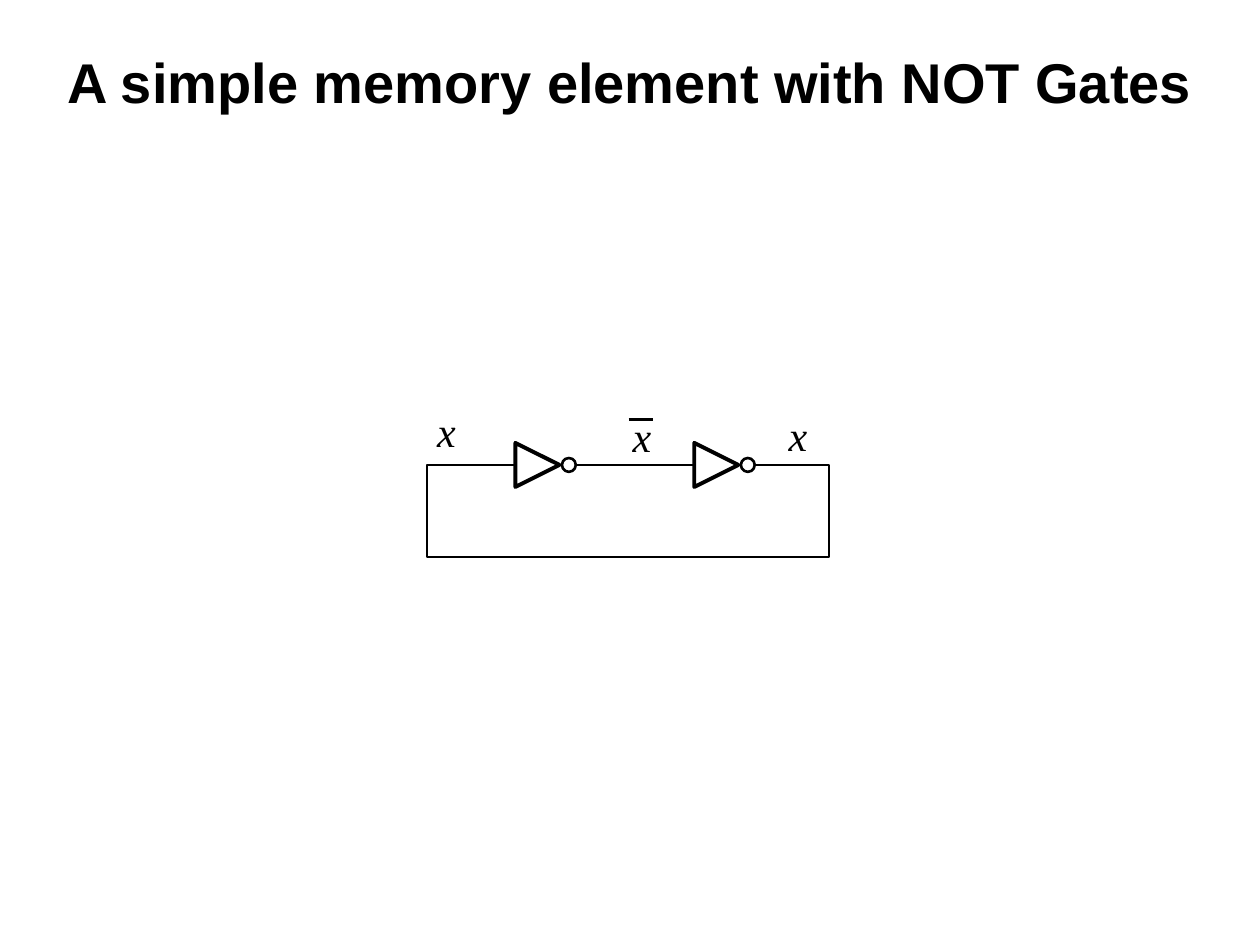
from dataclasses import dataclass
from typing import Any

from lxml import etree
from pptx import Presentation
from pptx.dml.color import RGBColor
from pptx.enum.shapes import MSO_CONNECTOR, MSO_SHAPE
from pptx.enum.text import MSO_AUTO_SIZE, PP_ALIGN
from pptx.oxml.ns import qn
from pptx.util import Inches, Pt

STRAIGHT = MSO_CONNECTOR.STRAIGHT
OVAL = MSO_SHAPE.OVAL
LEFT, CENTER = PP_ALIGN.LEFT, PP_ALIGN.CENTER
GROW, FIXED = MSO_AUTO_SIZE.SHAPE_TO_FIT_TEXT, MSO_AUTO_SIZE.NONE

WIDE, HIGH = Inches(10), Inches(7.5)
COLS, ROWS = 100, 75


@dataclass(frozen=True)
class Theme:
    ink: RGBColor = RGBColor(0, 0, 0)
    paper: RGBColor = RGBColor(255, 255, 255)
    sans: str = "Arial"
    serif: str = "Times New Roman"
    title: float = 32
    label: float = 24
    wire: float = 1.5
    bar: float = 1.62
    gate: float = 2.25


@dataclass(frozen=True)
class Gate:
    left: float
    mid: float
    size: float = 3.5
    gap: float = 0.2
    dot: float = 1.1

    @property
    def tip(self) -> float:
        return self.left + self.size

    @property
    def out(self) -> float:
        return self.tip + self.gap + self.dot


@dataclass(frozen=True)
class Label:
    left: float
    top: float
    barred: bool = False


THEME = Theme()
Point = tuple[float, float]


def col(n: float) -> int:
    return round(WIDE * n / COLS)


def row(n: float) -> int:
    return round(HIGH * n / ROWS)


def ink(shape: Any, width: float) -> None:
    shape.line.color.rgb = THEME.ink
    shape.line.width = Pt(width)


def line(shapes: Any, start: Point, end: Point, width: float) -> None:
    wire = shapes.add_connector(
        STRAIGHT, col(start[0]), row(start[1]), col(end[0]), row(end[1])
    )
    ink(wire, width)
    etree.SubElement(wire._element.spPr, qn("a:effectLst"))


def trace(shapes: Any, points: list[Point], width: float, close: bool) -> None:
    spots = [(col(x), row(y)) for x, y in points]
    pen = shapes.build_freeform(*spots[0])
    pen.add_line_segments(spots[1:], close=close)
    shape = pen.convert_to_shape()
    shape.shadow.inherit = False
    shape.fill.background()
    ink(shape, width)


def draw_gate(shapes: Any, gate: Gate) -> None:
    half = gate.size / 2
    points = [
        (gate.tip, gate.mid),
        (gate.left, gate.mid + half),
        (gate.left, gate.mid - half),
    ]
    trace(shapes, points, THEME.gate, close=True)
    dot = shapes.add_shape(
        OVAL,
        col(gate.tip + gate.gap),
        row(gate.mid - gate.dot / 2),
        col(gate.dot),
        row(gate.dot),
    )
    dot.shadow.inherit = False
    dot.fill.solid()
    dot.fill.fore_color.rgb = THEME.paper
    ink(dot, THEME.wire)


def write(
    shapes: Any,
    text: str,
    area: tuple[float, float, float, float],
    *,
    face: str,
    size: float,
    bold: bool = False,
    slant: bool = False,
    align: Any = LEFT,
    wrap: bool = False,
    pad: Point = (0, 0),
) -> None:
    left, top, width, height = area
    box = shapes.add_textbox(col(left), row(top), col(width), row(height))
    frame = box.text_frame
    frame.word_wrap = wrap
    frame.auto_size = FIXED if wrap else GROW
    frame.margin_left = frame.margin_right = col(pad[0])
    frame.margin_top = frame.margin_bottom = row(pad[1])
    para = frame.paragraphs[0]
    para.alignment = align
    run = para.add_run()
    run.text = text
    font = run.font
    font.name, font.size = face, Pt(size)
    font.bold, font.italic = bold, slant
    font.color.rgb = THEME.ink


def draw_label(shapes: Any, label: Label) -> None:
    home = shapes.add_group_shape().shapes if label.barred else shapes
    if label.barred:
        high = label.top + 0.7
        line(home, (label.left - 0.3, high), (label.left + 1.6, high), THEME.bar)
    write(
        home,
        "x",
        (label.left, label.top, 2.2, 4),
        face=THEME.serif,
        size=THEME.label,
        slant=True,
    )


def main() -> None:
    deck = Presentation()
    deck.slide_width, deck.slide_height = WIDE, HIGH
    shapes = deck.slides.add_slide(deck.slide_layouts[6]).shapes

    mid, base = 36.9, 44.2
    west, east = 33.9, 65.8
    first, last = Gate(40.9, mid), Gate(55.1, mid)

    line(shapes, (first.out, mid), (last.left, mid), THEME.wire)
    for gate in (first, last):
        draw_gate(shapes, gate)

    loop = [
        (first.left, mid),
        (west, mid),
        (west, base),
        (east, base),
        (east, mid),
        (last.out, mid),
    ]
    trace(shapes, loop, THEME.wire, close=False)

    write(
        shapes,
        "A simple memory element with NOT Gates",
        (0, 3.3, COLS, 7.5),
        face=THEME.sans,
        size=THEME.title,
        bold=True,
        align=CENTER,
        wrap=True,
        pad=(1, 0.5),
    )
    for label in (Label(34.7, 32.2), Label(62.6, 32.5), Label(50.2, 32.6, True)):
        draw_label(shapes, label)

    deck.save("out.pptx")


if __name__ == "__main__":
    main()
